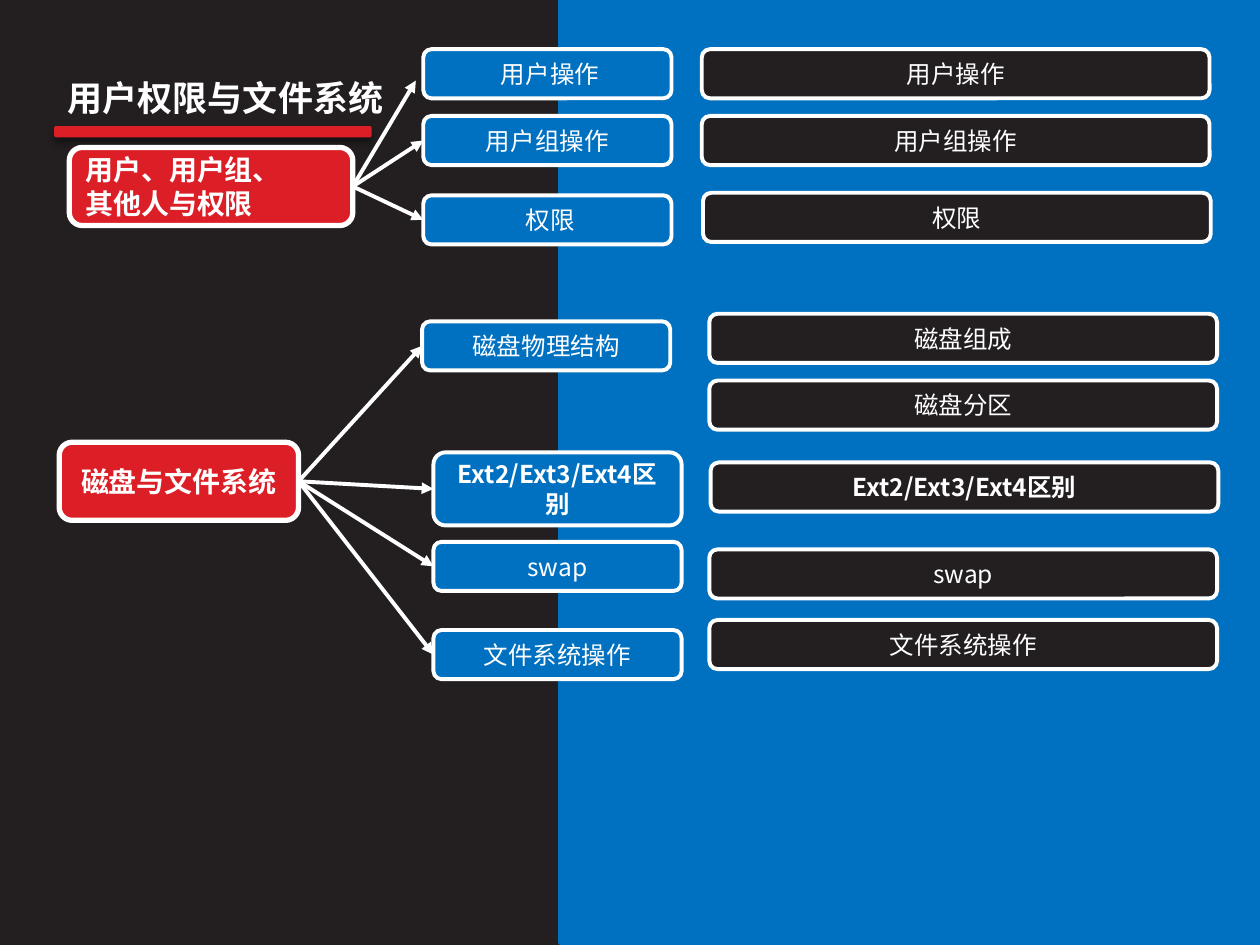
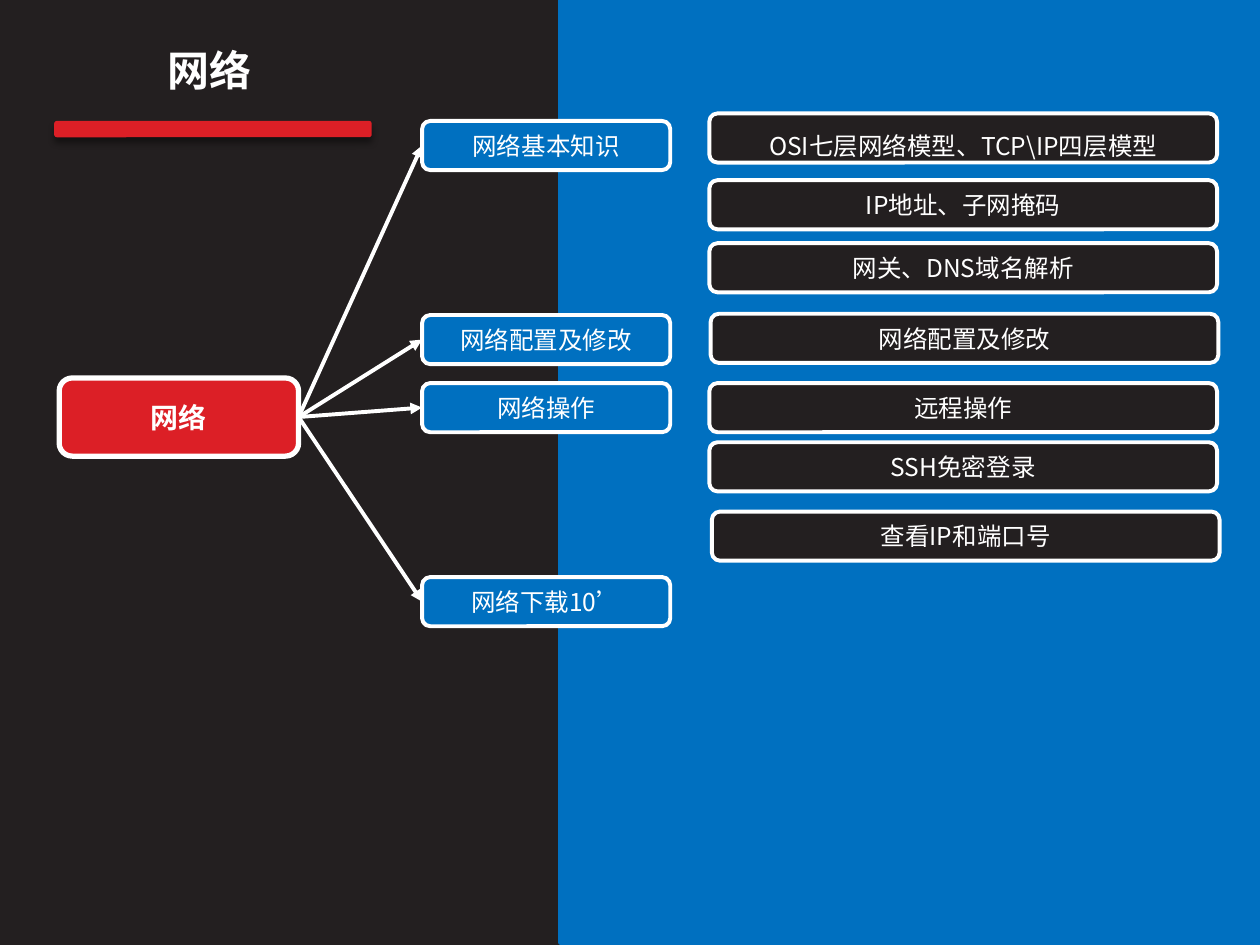
"""Build two mind-map slides: user permissions with file systems, and networking."""
from lxml import etree
from pptx import Presentation
from pptx.dml.color import RGBColor
from pptx.enum.shapes import MSO_CONNECTOR, MSO_SHAPE
from pptx.enum.text import MSO_ANCHOR, PP_ALIGN
from pptx.oxml.ns import qn
from pptx.util import Inches, Pt

RECT, ROUNDED = MSO_SHAPE.RECTANGLE, MSO_SHAPE.ROUNDED_RECTANGLE
STRAIGHT = MSO_CONNECTOR.STRAIGHT
CENTER, LEFT, MIDDLE = PP_ALIGN.CENTER, PP_ALIGN.LEFT, MSO_ANCHOR.MIDDLE
DARK, BLUE, RED, WHITE = "231F20", "0070C0", "DC1F26", "FFFFFF"
FONT = "Noto Sans CJK SC"
ROOT_H, ITEM_H = 0.62, 0.39
BRANCH_W, DETAIL_W = 1.97, 4.03
EXT = "Ext2/Ext3/Ext4区别"
BOLD_ITEMS = {EXT}
LINE_SPACING = {"OSI七层网络模型、TCP\\IP四层模型": 1.5}
ARROW_TIPS = {" 用户操作": (3.3, 0.64)}

SLIDES = [
    {
        "title": ("用户权限与文件系统", 20, (0.28, 0.56, 3.02, 0.48)),
        "underline": (0.43, 1, 2.52, 0.09),
        "topics": [
            ("磁盘与文件系统", 0.47, 3.51, 1.9, CENTER, FONT, [
                ("磁盘物理结构", 3.35, 2.55, ITEM_H),
                (EXT, 3.44, 3.59, 0.58),
                ("swap", 3.44, 4.3, ITEM_H),
                ("文件系统操作", 3.44, 5, ITEM_H),
            ]),
            ("用户、用户组、\n其他人与权限", 0.55, 1.17, 2.25, LEFT, FONT, [
                (" 用户操作", 3.36, 0.39, ITEM_H),
                ("用户组操作", 3.36, 0.92, ITEM_H),
                (" 权限", 3.36, 1.55, ITEM_H),
            ]),
        ],
        "details": [
            ("用户操作", 5.57, 0.39),
            ("用户组操作", 5.57, 0.92),
            ("权限", 5.58, 1.53),
            ("磁盘组成", 5.63, 2.49),
            ("磁盘分区", 5.63, 3.02),
            (EXT, 5.64, 3.67),
            ("swap", 5.63, 4.36),
            ("文件系统操作", 5.63, 4.92),
        ],
    },
    {
        "title": ("网络", 24, (0.28, 0.3, 2.77, 0.71)),
        "underline": (0.43, 0.96, 2.52, 0.13),
        "topics": [
            ("网络", 0.47, 3, 1.9, CENTER, "Calibri", [
                ("网络基本知识", 3.35, 0.96, ITEM_H),
                ("网络配置及修改", 3.35, 2.5, ITEM_H),
                ("网络操作", 3.35, 3.04, ITEM_H),
                ("网络下载10’", 3.35, 4.58, ITEM_H),
            ]),
        ],
        "details": [
            ("OSI七层网络模型、TCP\\IP四层模型", 5.63, 0.9),
            ("IP地址、子网掩码", 5.63, 1.43),
            ("网关、DNS域名解析", 5.63, 1.93),
            ("网络配置及修改", 5.64, 2.49),
            ("远程操作", 5.63, 3.04),
            ("SSH免密登录", 5.63, 3.51),
            ("查看IP和端口号", 5.65, 4.06),
        ],
    },
]


def write(frame, text, size, bold, align=CENTER, font=FONT):
    frame.word_wrap = True
    frame.text = text
    for paragraph in frame.paragraphs:
        paragraph.alignment = align
        paragraph.line_spacing = LINE_SPACING.get(text)
        paragraph.font.size = Pt(size)
        paragraph.font.bold = bold
        paragraph.font.color.rgb = RGBColor.from_string(WHITE)
        paragraph.font.name = font
        defaults = paragraph._p.pPr.find(qn("a:defRPr"))
        etree.SubElement(defaults, qn("a:ea"), typeface=FONT)


def add_box(shapes, bounds, fill, line=None, width=2.25, kind=ROUNDED):
    box = shapes.add_shape(kind, *map(Inches, bounds))
    box.shadow.inherit = False
    box.fill.solid()
    box.fill.fore_color.rgb = RGBColor.from_string(fill)
    if line:
        box.line.color.rgb = RGBColor.from_string(line)
        box.line.width = Pt(width)
    else:
        box.line.fill.background()
    box.text_frame.vertical_anchor = MIDDLE
    return box


prs = Presentation()
prs.slide_width, prs.slide_height = Inches(10), Inches(7.5)
backdrop = prs.slide_master.background.fill
backdrop.solid()
backdrop.fore_color.rgb = RGBColor.from_string(DARK)

for content in SLIDES:
    slide = prs.slides.add_slide(prs.slide_layouts[6])
    add_box(slide.shapes, (4.45, 0, 5.55, 7.48), BLUE, BLUE, 3, RECT)

    heading = slide.shapes.add_group_shape().shapes
    title, title_size, title_bounds = content["title"]
    title_box = heading.add_textbox(*map(Inches, title_bounds))
    write(title_box.text_frame, title, title_size, True)
    underline = add_box(heading, content["underline"], RED)
    effects = underline._element.spPr.find(qn("a:effectLst"))
    shadow = etree.SubElement(effects, qn("a:outerShdw"), blurRad=str(Pt(4)),
                              dist=str(Pt(3)), dir="5400000", rotWithShape="0")
    shade = etree.SubElement(shadow, qn("a:srgbClr"), val="000000")
    etree.SubElement(shade, qn("a:alpha"), val="43000")

    for topic, left, top, width, align, font, branches in content["topics"]:
        root = add_box(slide.shapes, (left, top, width, ROOT_H), RED, WHITE, 3)
        write(root.text_frame, topic, 16, True, align, font)
        start = (left + width, top + ROOT_H / 2)
        for label, x, y, height in branches:
            branch = add_box(slide.shapes, (x, y, BRANCH_W, height), BLUE, WHITE)
            write(branch.text_frame, label, 14, label in BOLD_ITEMS)
            tip = ARROW_TIPS.get(label, (x, y + height / 2))
            arrow = slide.shapes.add_connector(STRAIGHT, *map(Inches, start + tip))
            arrow.line.color.rgb = RGBColor.from_string(WHITE)
            arrow.line.width = Pt(2.25)
            etree.SubElement(arrow.line._get_or_add_ln(), qn("a:tailEnd"), type="triangle")
            etree.SubElement(arrow._element.spPr, qn("a:effectLst"))

    for label, x, y in content["details"]:
        detail = add_box(slide.shapes, (x, y, DETAIL_W, ITEM_H), DARK, WHITE)
        write(detail.text_frame, label, 14, label in BOLD_ITEMS)

prs.save("out.pptx")
